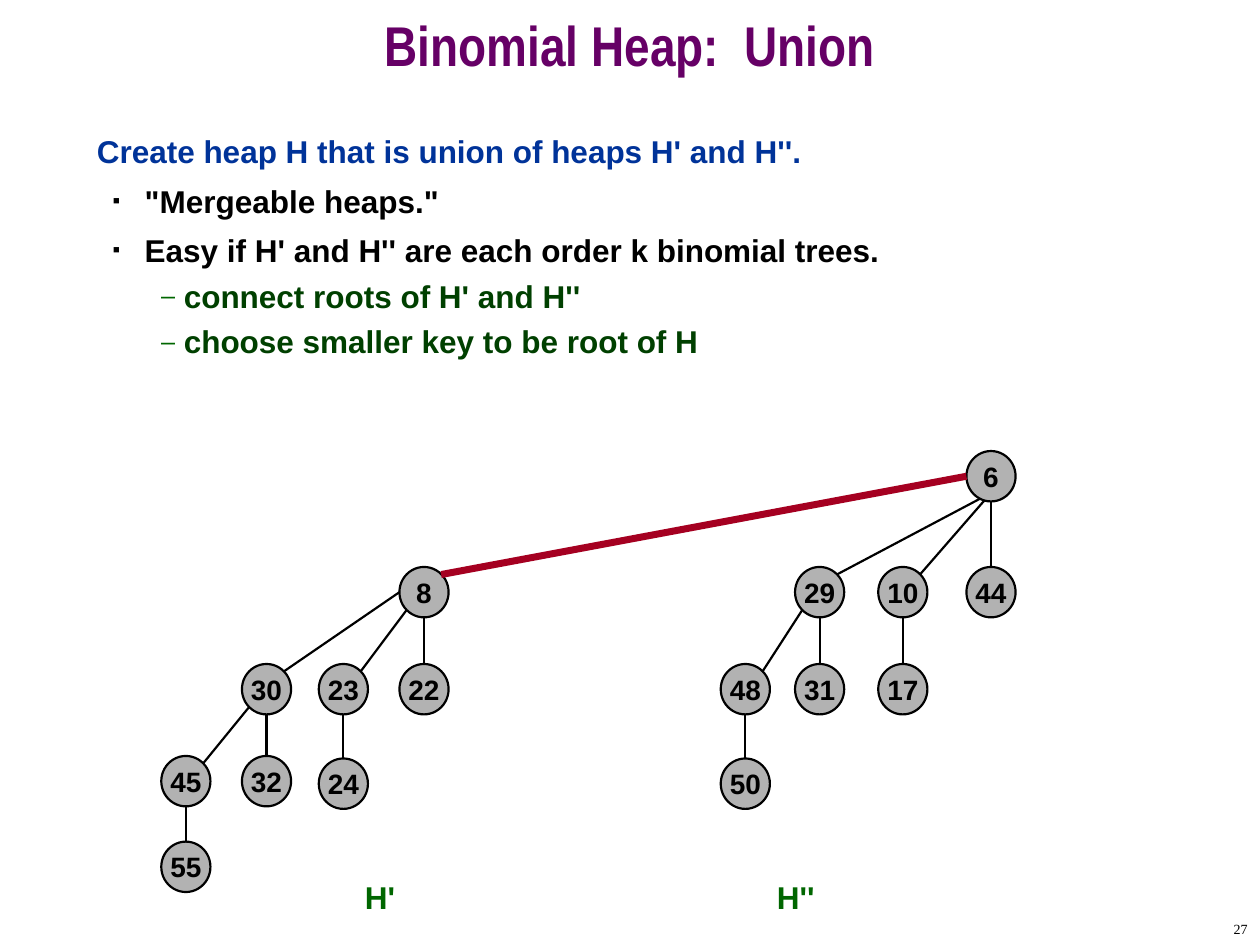
from lxml.etree import SubElement
from pptx import Presentation
from pptx.dml.color import RGBColor
from pptx.enum.shapes import MSO_CONNECTOR, MSO_SHAPE
from pptx.enum.text import MSO_ANCHOR, PP_ALIGN
from pptx.oxml.ns import qn
from pptx.util import Inches, Pt

COLORS = {
    "title": "660066", "lead": "003399", "text": "000000", "detail": "004000",
    "label": "006600", "node": "B2B2B2", "edge": "000000", "link": "A50021",
}
NODE_WIDTH, NODE_HEIGHT = 0.39, 0.4

# Points on a node, as fractions of its width and height
ANCHORS = {
    "top": (0.5, 0), "bottom": (0.5, 1), "left": (0, 0.5),
    "top right": (0.85, 0.15), "bottom left": (0.15, 0.85),
    "inside": (0.5, 0.83),
}

# Format of each outline level
LEVELS = [
    {"color": "lead"},
    {"color": "text", "margin": 0.38, "indent": -0.25, "spacing": 1.1,
     "bullet": "■", "bullet_color": "text", "bullet_size": 35},
    {"color": "detail", "margin": 0.69, "indent": -0.18, "spacing": 1.0,
     "bullet": "–", "bullet_color": "label", "bullet_size": 80},
]
OUTLINE = [
    (0, "Create heap H that is union of heaps H' and H''."),
    (1, "\"Mergeable heaps.\""),
    (1, "Easy if H' and H'' are each order k binomial trees."),
    (2, "connect roots of H' and H''"),
    (2, "choose smaller key to be root of H"),
]

# Node places are relative to the tree's box; edges are child, parent, anchor on parent
FIRST_TREE = {
    "nodes": {"8": (1.89, 0), "30": (0.64, 0.77), "23": (1.25, 0.77),
              "22": (1.89, 0.77), "45": (0, 1.5), "32": (0.64, 1.5),
              "24": (1.25, 1.52), "55": (0, 2.18)},
    "edges": [("30", "8", "left"), ("23", "8", "bottom left"),
              ("22", "8", "bottom"), ("45", "30", "bottom left"),
              ("32", "30", "bottom"), ("24", "23", "bottom"),
              ("55", "45", "bottom")],
}
SECOND_TREE = {
    "nodes": {"6": (1.95, 0), "29": (0.59, 0.92), "10": (1.25, 0.92),
              "44": (1.95, 0.92), "48": (0, 1.69), "31": (0.59, 1.69),
              "17": (1.25, 1.69), "50": (0, 2.44)},
    "edges": [("29", "6", "inside"), ("10", "6", "inside"),
              ("44", "6", "bottom"), ("48", "29", "bottom left"),
              ("31", "29", "bottom"), ("17", "10", "bottom"),
              ("50", "48", "bottom")],
}


def rgb(name):
    return RGBColor.from_string(COLORS[name])


def set_values(target, values):
    for name, value in values.items():
        setattr(target, name, value)


def write(paragraph, text, size, color, bold=True, name="Arial"):
    run = paragraph.add_run()
    run.text = text
    set_values(run.font, {"size": Pt(size), "bold": bold, "name": name})
    run.font.color.rgb = rgb(color)


def add_text_box(slide, box, anchor=MSO_ANCHOR.TOP):
    shape = slide.shapes.add_textbox(*(Inches(value) for value in box))
    set_values(shape.text_frame, {"word_wrap": True, "vertical_anchor": anchor})
    return shape.text_frame


def add_line(slide, text, box, size, color, alignment,
             anchor=MSO_ANCHOR.TOP, spacing=1.0, **font):
    paragraph = add_text_box(slide, box, anchor).paragraphs[0]
    set_values(paragraph, {"alignment": alignment, "line_spacing": spacing})
    write(paragraph, text, size, color, **font)


def add_bullet(paragraph, level):
    properties = paragraph._p.get_or_add_pPr()
    properties.set("marL", str(Inches(level["margin"])))
    properties.set("indent", str(Inches(level["indent"])))
    color = SubElement(properties, qn("a:buClr"))
    SubElement(color, qn("a:srgbClr"), val=COLORS[level["bullet_color"]])
    SubElement(properties, qn("a:buSzPct"), val=str(level["bullet_size"] * 1000))
    SubElement(properties, qn("a:buFont"), typeface="Arial")
    SubElement(properties, qn("a:buChar"), char=level["bullet"])


def add_outline(slide, box):
    frame = add_text_box(slide, box)
    for index, (depth, text) in enumerate(OUTLINE):
        level = LEVELS[depth]
        paragraph = frame.add_paragraph() if index else frame.paragraphs[0]
        paragraph.level = depth
        if "bullet" in level:
            add_bullet(paragraph, level)
            set_values(paragraph, {"line_spacing": level["spacing"],
                                   "space_before": Pt(4.5)})
        write(paragraph, text, 18, level["color"])


def add_edge(slide, start, end, color="edge", width=1.25):
    edge = slide.shapes.add_connector(
        MSO_CONNECTOR.STRAIGHT, *(Inches(value) for value in (*start, *end)))
    edge.line.color.rgb = rgb(color)
    edge.line.width = Pt(width)
    SubElement(edge._element.spPr, qn("a:effectLst"))


def add_node(slide, key, left, top):
    node = slide.shapes.add_shape(
        MSO_SHAPE.OVAL, Inches(left), Inches(top),
        Inches(NODE_WIDTH), Inches(NODE_HEIGHT))
    node.shadow.inherit = False
    node.fill.solid()
    node.fill.fore_color.rgb = rgb("node")
    node.line.color.rgb = rgb("edge")
    node.line.width = Pt(1.25)
    set_values(node.text_frame, {"word_wrap": False,
                                 "vertical_anchor": MSO_ANCHOR.MIDDLE})
    paragraph = node.text_frame.paragraphs[0]
    paragraph.alignment = PP_ALIGN.CENTER
    write(paragraph, key, 16, "text")


def node_point(place, anchor):
    across, down = ANCHORS[anchor]
    return place[0] + across * NODE_WIDTH, place[1] + down * NODE_HEIGHT


def add_tree(slide, tree, left, top):
    """Draw a binomial tree and return the places of its nodes."""
    places = {key: (left + x, top + y) for key, (x, y) in tree["nodes"].items()}
    for child, parent, anchor in tree["edges"]:
        child_anchor = "top" if anchor == "bottom" else "top right"
        add_edge(slide, node_point(places[child], child_anchor),
                 node_point(places[parent], anchor))
    for key, place in places.items():
        add_node(slide, key, *place)
    return places


def main():
    presentation = Presentation()
    presentation.slide_width, presentation.slide_height = Inches(10), Inches(7.5)
    slide = presentation.slides.add_slide(presentation.slide_layouts[6])

    # Title and outline
    add_line(slide, "Binomial Heap:  Union", (0, 0, 10, 0.83), 32, "title",
             PP_ALIGN.CENTER, MSO_ANCHOR.MIDDLE, 0.7, name="Arial Narrow")
    add_outline(slide, (0.67, 1, 8.58, 5.92))

    # Heaps, with the new link between their roots
    first = add_tree(slide, FIRST_TREE, 1.28, 4.5)
    second = add_tree(slide, SECOND_TREE, 5.72, 3.58)
    add_edge(slide, node_point(second["6"], "left"),
             node_point(first["8"], "top right"), "link", 4)
    for text, left in (("H'", 2.67), ("H''", 5.97)):
        add_line(slide, text, (left, 6.92, 0.69, 0.4), 18, "label", PP_ALIGN.CENTER)

    # Page number
    add_line(slide, "27", (7.92, 7.25, 2.08, 0.25), 8, "text", PP_ALIGN.RIGHT,
             MSO_ANCHOR.MIDDLE, bold=False, name="Times New Roman")

    presentation.save("out.pptx")


if __name__ == "__main__":
    main()
